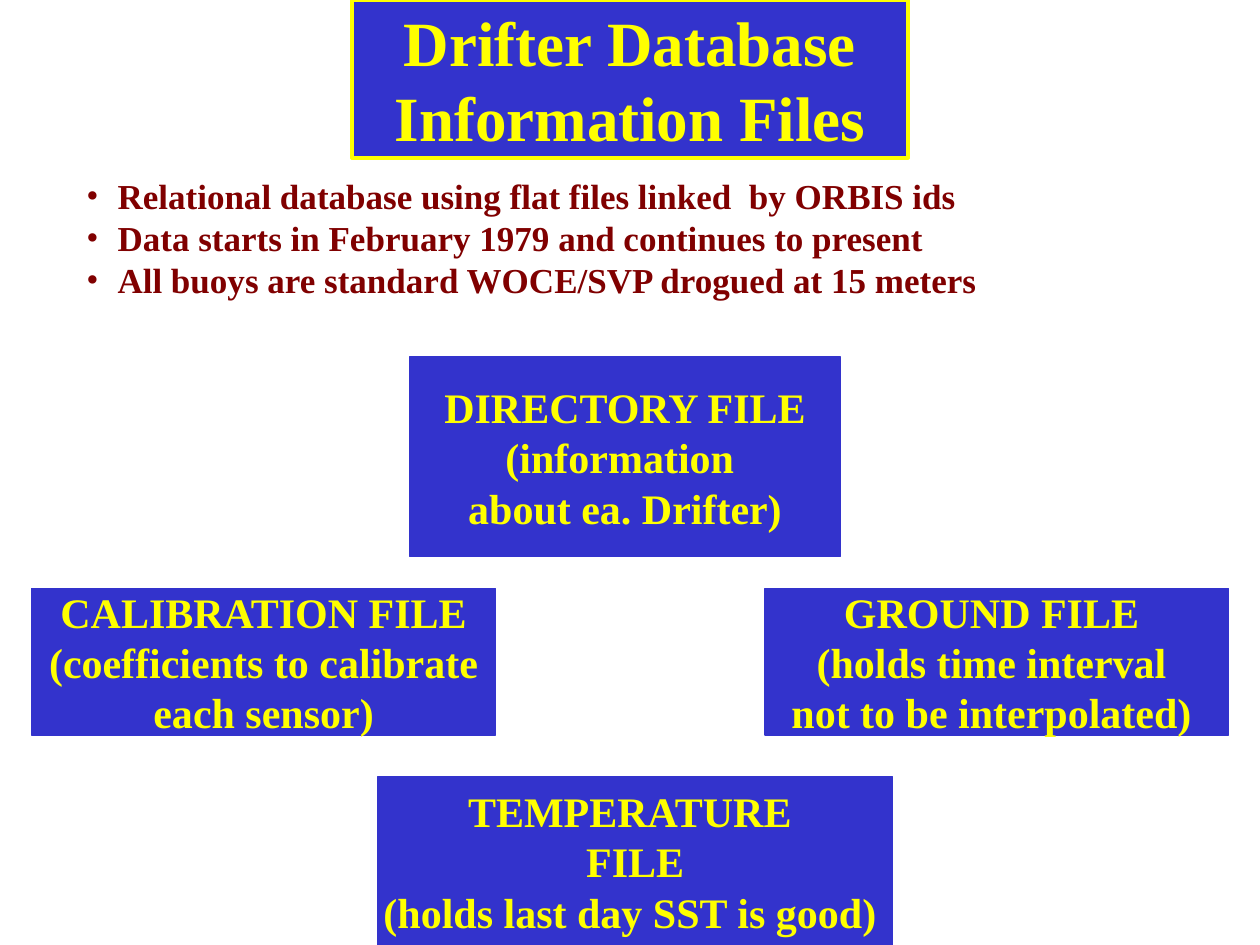
import pptx
import pptx.util
import pptx.dml.color
import pptx.enum.shapes
import pptx.enum.text
import pptx.oxml.ns
from lxml import etree

Cm = pptx.util.Cm
BLUE = pptx.dml.color.RGBColor(0x33, 0x33, 0xCC)
YELLOW = pptx.dml.color.RGBColor(0xFF, 0xFF, 0x00)
MAROON = pptx.dml.color.RGBColor(0x80, 0x00, 0x00)
FONT = "Times New Roman"
CENTER = pptx.enum.text.PP_ALIGN.CENTER
LEFT = pptx.enum.text.PP_ALIGN.LEFT


def add_bullet(para, color):
    """Give a paragraph a hanging round bullet."""
    properties = para._p.get_or_add_pPr()
    properties.set("marL", str(Cm(1.27)))
    properties.set("indent", str(-Cm(0.63)))
    qn = pptx.oxml.ns.qn
    bullet_color = etree.SubElement(properties, qn("a:buClr"))
    etree.SubElement(bullet_color, qn("a:srgbClr"), val=str(color))
    etree.SubElement(properties, qn("a:buFont"), typeface=FONT)
    etree.SubElement(properties, qn("a:buChar"), char="•")


def write_text(frame, lines, size, color, align=CENTER, bullet=False):
    """Write each line as one bold paragraph."""
    for index, line in enumerate(lines):
        para = frame.paragraphs[0] if index == 0 else frame.add_paragraph()
        para.alignment = align
        if bullet:
            add_bullet(para, color)
        para.text = line
        for span in para.runs:
            span.font.name = FONT
            span.font.size = pptx.util.Pt(size)
            span.font.bold = True
            span.font.color.rgb = color


def add_panel(page, box, lines, size, line_color, line_width, wrap):
    """Place a blue rectangle with centred yellow text."""
    panel = page.shapes.add_shape(
        pptx.enum.shapes.MSO_SHAPE.RECTANGLE, *map(Cm, box))
    panel.shadow.inherit = False
    panel.fill.solid()
    panel.fill.fore_color.rgb = BLUE
    panel.line.color.rgb = line_color
    panel.line.width = pptx.util.Pt(line_width)
    panel.text_frame.word_wrap = wrap
    panel.text_frame.vertical_anchor = pptx.enum.text.MSO_ANCHOR.MIDDLE
    write_text(panel.text_frame, lines, size, YELLOW)


def add_title(page, box):
    add_panel(page, box, ["Drifter Database\vInformation Files"],
              36, YELLOW, 2.25, True)


def add_facts(page, box):
    """Place the bulleted list of facts."""
    facts = page.shapes.add_textbox(*map(Cm, box))
    facts.text_frame.word_wrap = True
    write_text(facts.text_frame, [
        "Relational database using flat files linked  by ORBIS ids",
        "Data starts in February 1979 and continues to present",
        "All buoys are standard WOCE/SVP drogued at 15 meters",
    ], 20, MAROON, align=LEFT, bullet=True)


def add_files(page, box):
    """Place the four file panels in a diamond inside the box."""
    left, top, width, height = box
    side_width, side_height, side_top = 9.35, 2.96, 4.66
    bottom_height = 3.39
    panels = [
        ((7.62, 0, 8.68, 4.02),
         ["DIRECTORY FILE", "(information ", "about ea. Drifter)"]),
        ((0, side_top, side_width, side_height),
         ["CALIBRATION FILE", "(coefficients to calibrate", "each sensor)"]),
        ((6.98, height - bottom_height, 10.37, bottom_height),
         ["TEMPERATURE ", "FILE", "(holds last day SST is good) "]),
        ((width - side_width, side_top, side_width, side_height),
         ["GROUND FILE ", "(holds time interval ",
          "not to be interpolated) "]),
    ]
    for (x, y, panel_width, panel_height), lines in panels:
        add_panel(page, (left + x, top + y, panel_width, panel_height),
                  lines, 24, BLUE, 0.75, False)


def main():
    deck = pptx.Presentation()
    deck.slide_width, deck.slide_height = Cm(25.4), Cm(19.05)
    page = deck.slides.add_slide(deck.slide_layouts[6])
    add_title(page, (7.09, 0, 11.22, 3.18))
    add_facts(page, (0.85, 3.39, 23.5, 2.79))
    add_files(page, (0.64, 7.2, 24.13, 11.85))
    deck.save("out.pptx")


if __name__ == "__main__":
    main()
